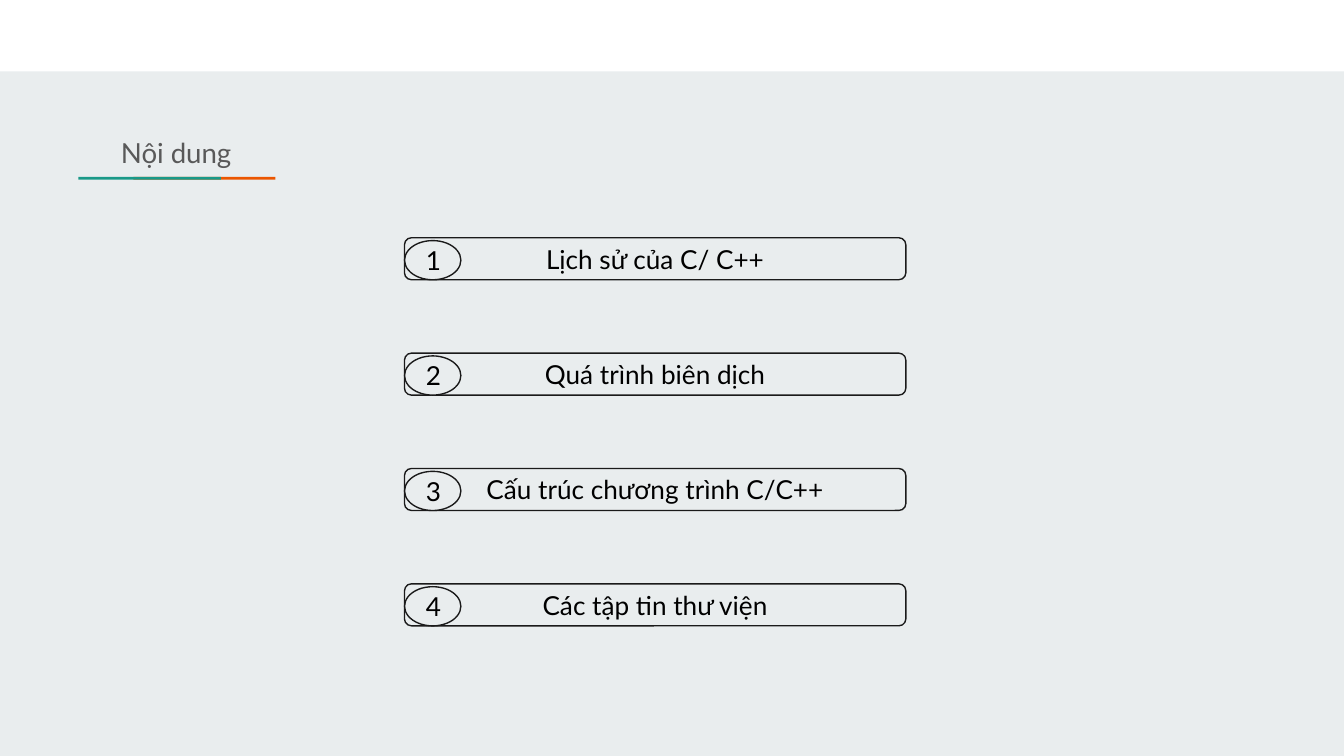
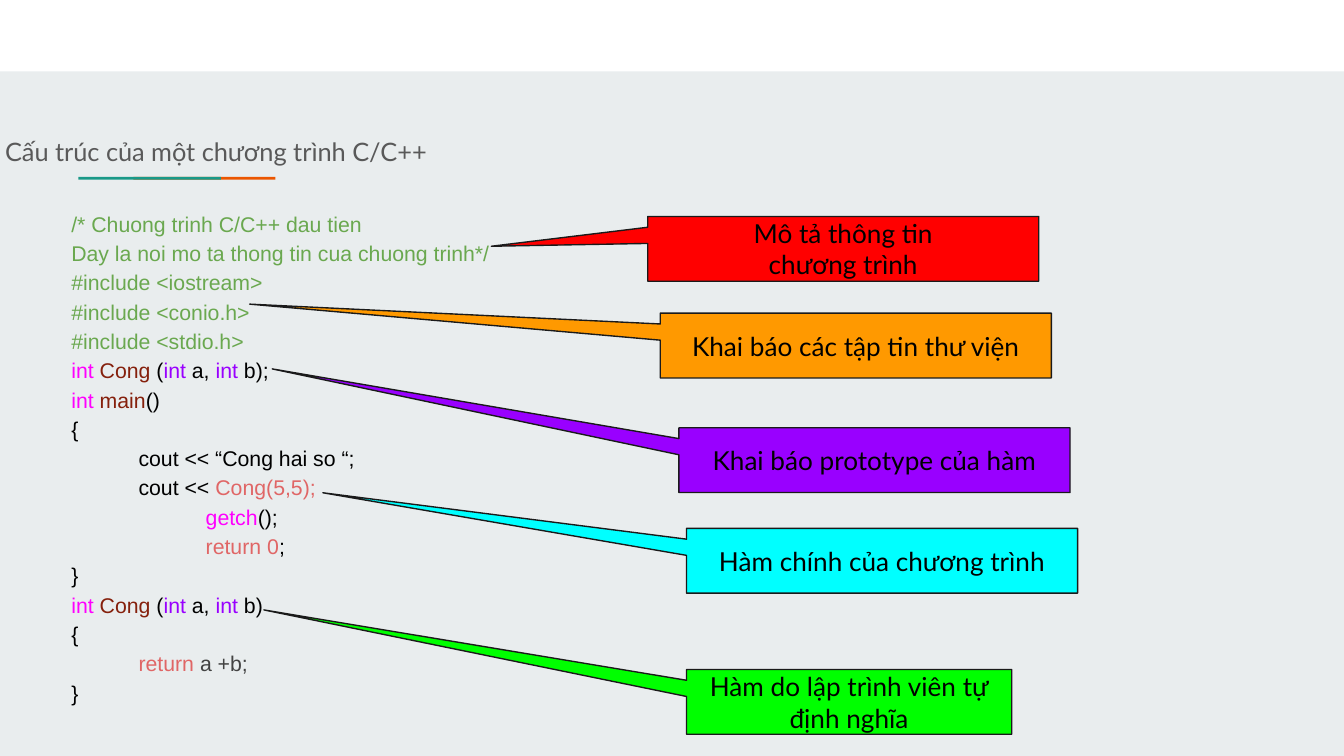
from pptx import Presentation
from pptx import util as u
from pptx.dml import color
from pptx.enum import shapes, text
from pptx.oxml import ns
from lxml import etree

Pt = u.Pt
COLORS = {
    "background": "E9EDEE", "band": "FFFFFF", "teal": "1A9988",
    "orange": "EB5600", "outline": "1A1A1A", "heading": "595959",
    "black": "000000", "comment": "6AA84F", "type": "FF00FF",
    "name": "85200C", "parameter": "9900FF", "call": "E06666",
    "result": "434343", "red": "FF0000", "amber": "FF9900",
    "purple": "9900FF", "cyan": "00FFFF", "green": "00FF00",
}
FRAME = {
    "margin_left": Pt(7.2), "margin_right": Pt(7.2),
    "margin_top": Pt(7.2), "margin_bottom": Pt(7.2),
    "word_wrap": True, "auto_size": text.MSO_AUTO_SIZE.NONE,
}
MIDDLE = {**FRAME, "vertical_anchor": text.MSO_ANCHOR.MIDDLE}
TOP = {**FRAME, "vertical_anchor": text.MSO_ANCHOR.TOP}
LABEL_FONT = {"name": "Lato", "size": Pt(14)}
CODE_FONT = {"name": "Arial", "size": Pt(11.4)}
CODE_PARAGRAPH = {
    "alignment": text.PP_ALIGN.JUSTIFY, "line_spacing": 1.15,
    "space_before": Pt(0), "space_after": Pt(0),
}
INDENT = 36

TOPICS = [
    "Lịch sử của C/ C++",
    "Quá trình biên dịch",
    "Cấu trúc chương trình C/C++",
    "Các tập tin thư viện",
]

SIGNATURE = [
    ("int ", "type"), ("Cong ", "name"), ("(", "black"),
    ("int", "parameter"), (" a, ", "black"), ("int ", "parameter"),
]
CODE = [
    (0, [("/* Chuong trinh C/C++ dau tien", "comment")]),
    (0, [("Day la noi mo ta thong tin cua chuong trinh*/", "comment")]),
    (0, [("#include <iostream>", "comment")]),
    (0, [("#include <conio.h>", "comment")]),
    (0, [("#include <stdio.h>", "comment")]),
    (0, SIGNATURE + [("b);", "black")]),
    (0, [("int ", "type"), ("main", "name"), ("()", "black")]),
    (0, [("{", "black")]),
    (1, [("cout << “Cong hai so “;", "black")]),
    (1, [("cout << ", "black"), ("Cong(5,5);", "call")]),
    (2, [("getch", "type"), ("();", "black")]),
    (2, [("return 0", "call"), (";", "black")]),
    (0, [("}", "black")]),
    (0, SIGNATURE + [("b)", "black")]),
    (0, [("{", "black")]),
    (1, [("return ", "call"), ("a +b;", "result")]),
    (0, [("}", "black")]),
]

CALLOUTS = [
    (347, 116, 209.5, (-0.9, -0.04), "red", ["Mô tả thông tin", "chương trình"]),
    (353.7, 167.8, 209.5, (-1.55, -0.64), "amber", ["Khai báo các tập tin thư viện"]),
    (363.7, 229.2, 209.5, (-1.54, -1.41), "purple", ["Khai báo prototype của hàm"]),
    (367.8, 283.1, 209.5, (-1.43, -1.05), "cyan", ["Hàm chính của chương trình"]),
    (367.8, 358.7, 174.2, (-1.8, -1.42), "green", ["Hàm do lập trình viên tự định nghĩa"]),
]


def rgb(name):
    return color.RGBColor.from_string(COLORS[name])


def apply_format(target, values):
    for attribute, value in values.items():
        setattr(target, attribute, value)


def place(shape, left, top, width, height):
    apply_format(shape, {"left": Pt(left), "top": Pt(top),
                         "width": Pt(width), "height": Pt(height)})


def add_run(paragraph, wording, font, color_name):
    run = paragraph.add_run()
    run.text = wording
    apply_format(run.font, font)
    run.font.color.rgb = rgb(color_name)


def add_box(container, kind, box, fill, outline=None):
    shape = container.add_shape(kind, *map(Pt, box))
    shape.shadow.inherit = False
    shape.fill.solid()
    shape.fill.fore_color.rgb = rgb(fill)
    if outline:
        shape.line.color.rgb = rgb(outline)
        shape.line.width = Pt(0.75)
    else:
        shape.line.fill.background()
    return shape


def add_label(container, kind, box, fill, lines):
    shape = add_box(container, kind, box, fill, "outline")
    frame = shape.text_frame
    apply_format(frame, MIDDLE)
    for index, line in enumerate(lines):
        paragraph = frame.add_paragraph() if index else frame.paragraphs[0]
        paragraph.alignment = text.PP_ALIGN.CENTER
        add_run(paragraph, line, LABEL_FONT, "black")
    return shape


def add_slide(presentation, layout_index):
    slide = presentation.slides.add_slide(presentation.slide_layouts[layout_index])
    rectangle = shapes.MSO_SHAPE.RECTANGLE
    add_box(slide.shapes, rectangle, (0, 0, 720, 38.3), "band")
    add_box(slide.shapes, rectangle, (71.5, 94.8, 76, 1.5), "orange")
    add_box(slide.shapes, rectangle, (42, 94.8, 76.3, 1.5), "teal")
    return slide


def set_title(slide, wording, left, width, size):
    title = slide.shapes.title
    place(title, left, 65.8, width, 42.5)
    apply_format(title.text_frame, TOP)
    paragraph = title.text_frame.paragraphs[0]
    paragraph.alignment = text.PP_ALIGN.LEFT
    add_run(paragraph, wording, {"name": "Lato", "size": Pt(size)}, "heading")


def add_topic(slide, number, wording):
    left, top = 216.7, 127.4 + (number - 1) * 61.8
    group = slide.shapes.add_group_shape()
    add_label(group.shapes, shapes.MSO_SHAPE.ROUNDED_RECTANGLE,
              (left, top, 268.6, 22.5), "background", [wording])
    add_label(group.shapes, shapes.MSO_SHAPE.OVAL,
              (left, top + 1.5, 30.2, 21), "background", [str(number)])


def fill_code(body):
    place(body, 31, 108.7, 667.4, 271.4)
    frame = body.text_frame
    apply_format(frame, MIDDLE)
    for index, (depth, pieces) in enumerate(CODE):
        paragraph = frame.add_paragraph() if index else frame.paragraphs[0]
        apply_format(paragraph, CODE_PARAGRAPH)
        properties = paragraph._p.get_or_add_pPr()
        properties.set("marL", str(Pt(depth * INDENT)))
        properties.set("indent", "0")
        etree.SubElement(properties, ns.qn("a:buNone"))
        for wording, color_name in pieces:
            add_run(paragraph, wording, CODE_FONT, color_name)


def add_callout(slide, left, top, width, tip, fill, lines):
    callout = add_label(slide.shapes, shapes.MSO_SHAPE.ROUNDED_RECTANGULAR_CALLOUT,
                        (left, top, width, 34.7), fill, lines)
    for index, value in enumerate((*tip, 0)):
        callout.adjustments[index] = value


def main():
    presentation = Presentation()
    apply_format(presentation, {"slide_width": Pt(720), "slide_height": Pt(405)})
    background = presentation.slide_master.background.fill
    background.solid()
    background.fore_color.rgb = rgb("background")

    contents = add_slide(presentation, 5)
    set_title(contents, "Nội dung", 57.6, 75.6, 14.8)
    for number, wording in enumerate(TOPICS, 1):
        add_topic(contents, number, wording)

    structure = add_slide(presentation, 1)
    set_title(structure, "Cấu trúc của một chương trình C/C++", -4.5, 249, 13.6)
    fill_code(structure.placeholders[1])
    for callout in CALLOUTS:
        add_callout(structure, *callout)

    presentation.save("out.pptx")


if __name__ == "__main__":
    main()
